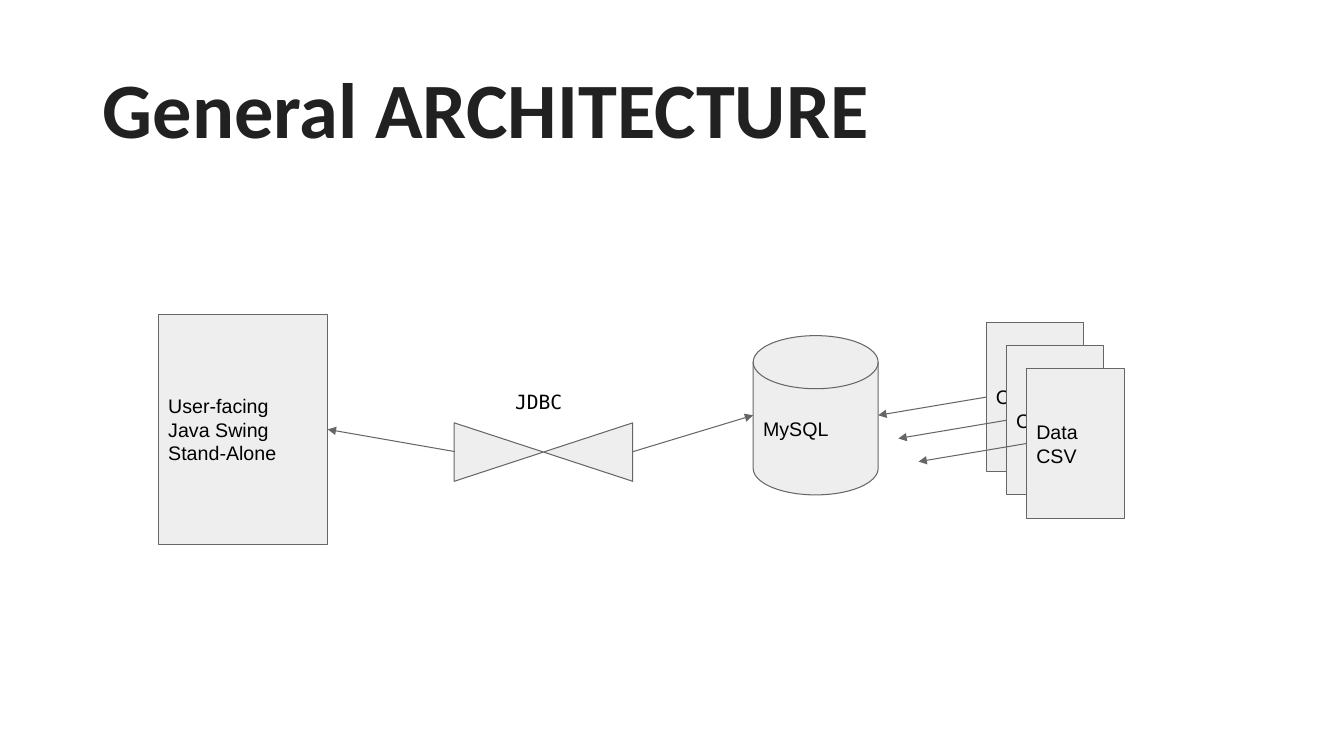
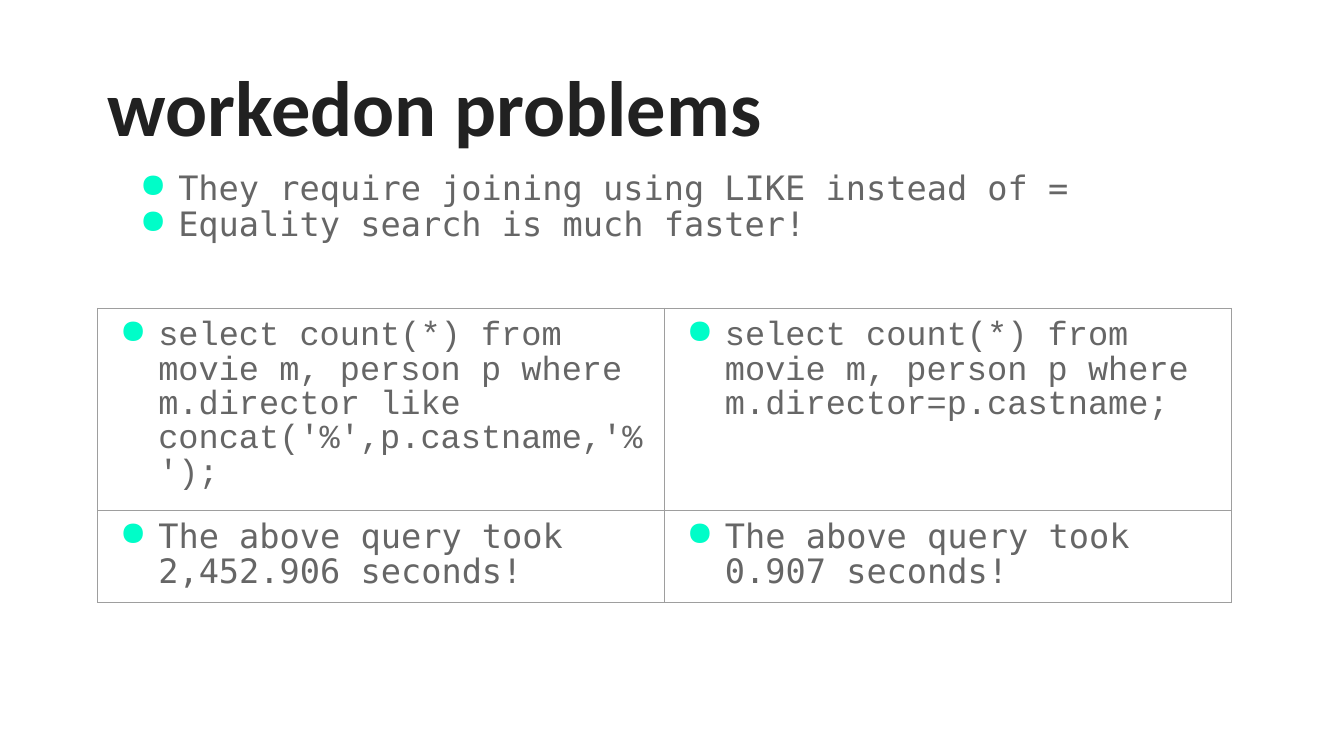
from lxml.etree import SubElement
from pptx import Presentation
from pptx.dml.color import RGBColor
from pptx.enum.shapes import MSO_CONNECTOR, MSO_SHAPE as Preset
from pptx.enum.text import MSO_ANCHOR as Anchor, PP_ALIGN as Align
from pptx.oxml.ns import qn
from pptx.util import Pt

PX = 9144  # EMU per px, 100 px to the inch
COLORS = {"background": "FFFFFF", "title": "212121", "body": "666666",
          "label": "000000", "fill": "EEEEEE", "line": "666666",
          "bullet": "00FDC8", "border": "9E9E9E"}
SANS, MONO, CODE = "Arial", "DejaVu Sans Mono", "Courier New"
LINE_WIDTH = Pt(0.75)

# Boxes are left, top, width, height in px
BLOCKS = [
    (Preset.RECTANGLE, (157, 312, 168, 228), ["User-facing", "Java Swing Stand-Alone"]),
    (Preset.FLOWCHART_MAGNETIC_DISK, (747, 333, 124, 158), ["MySQL"]),
]
BRIDGE_BOX = (510, 360, 58, 177)
BRIDGE_LABEL = ("JDBC", (501, 377, 101, 35))
BRIDGE_ARROWS = [((451, 448), (325, 426)), ((628, 448), (747, 412))]

FILES = [["CSV"], ["CSV"], ["Data", "CSV"]]
FILE_BOX = (978, 320, 97, 148)
FILE_STEP = (20, 23)
FILE_ARROW = (-107, 18)

PROBLEMS = ["They require joining using LIKE instead of =",
            "Equality search is much faster!"]
QUERY_BOX = (97, 306, 1124, 279)
QUERY_ROWS = [
    (190, CODE, ["select count(*) from movie m, person p where m.director like "
                 "concat('%',p.castname,'%');",
                 "select count(*) from movie m, person p where m.director=p.castname;"]),
    (89, MONO, ["The above query took 2,452.906 seconds!",
                "The above query took 0.907 seconds!"]),
]


def color(name):
    return RGBColor.from_string(COLORS[name])


def emu(lengths):
    return [length * PX for length in lengths]


def add_bullet(paragraph):
    properties = paragraph._p.get_or_add_pPr()
    properties.set("marL", str(50 * PX))
    properties.set("indent", str(-38 * PX))
    bullet_color = SubElement(properties, qn("a:buClr"))
    SubElement(bullet_color, qn("a:srgbClr")).set("val", COLORS["bullet"])
    SubElement(properties, qn("a:buChar")).set("char", "●")


def write(frame, lines, size, font, ink, bold=False, bullets=False, spacing=None):
    frame.text = "\n".join(lines)
    frame.word_wrap = True
    for paragraph in frame.paragraphs:
        if bullets:
            add_bullet(paragraph)
        paragraph.alignment = Align.LEFT
        paragraph.line_spacing = spacing
        for run in paragraph.runs:
            run.font.size = Pt(size)
            run.font.name = font
            run.font.bold = bold
            run.font.color.rgb = color(ink)


def set_margins(target, side, end):
    target.margin_left = target.margin_right = side * PX
    target.margin_top = target.margin_bottom = end * PX


def add_text(slide, box, lines, size, font, ink, end_margin=5,
             anchor=Anchor.TOP, **style):
    frame = slide.shapes.add_textbox(*emu(box)).text_frame
    set_margins(frame, 10, end_margin)
    frame.vertical_anchor = anchor
    write(frame, lines, size, font, ink, **style)


def add_slide(presentation, title, left, top):
    slide = presentation.slides.add_slide(presentation.slide_layouts[6])
    slide.background.fill.solid()
    slide.background.fill.fore_color.rgb = color("background")
    add_text(slide, (left, top, 1150, 145), [title], 56, "Calibri", "title",
             anchor=Anchor.MIDDLE, bold=True, spacing=0.9)
    return slide


def add_block(slide, preset, box, lines=()):
    shape = slide.shapes.add_shape(preset, *emu(box))
    shape.shadow.inherit = False
    shape.fill.solid()
    shape.fill.fore_color.rgb = color("fill")
    shape.line.color.rgb = color("line")
    shape.line.width = LINE_WIDTH
    if lines:
        set_margins(shape.text_frame, 10, 10)
        shape.text_frame.vertical_anchor = Anchor.MIDDLE
        write(shape.text_frame, lines, 14, SANS, "label")
    return shape


def add_arrow(slide, start, end):
    arrow = slide.shapes.add_connector(MSO_CONNECTOR.STRAIGHT, *emu(start + end))
    arrow.line.color.rgb = color("line")
    arrow.line.width = LINE_WIDTH
    SubElement(arrow.line._get_or_add_ln(), qn("a:tailEnd")).set("type", "triangle")
    SubElement(arrow._element.spPr, qn("a:effectLst"))


def add_borders(cell):
    properties = cell._tc.get_or_add_tcPr()
    for side in ("lnL", "lnR", "lnT", "lnB"):
        border = SubElement(properties, qn(f"a:{side}"))
        border.set("w", str(LINE_WIDTH))
        fill = SubElement(border, qn("a:solidFill"))
        SubElement(fill, qn("a:srgbClr")).set("val", COLORS["border"])


def add_query_table(slide):
    columns = len(QUERY_ROWS[0][2])
    table = slide.shapes.add_table(len(QUERY_ROWS), columns, *emu(QUERY_BOX)).table
    table.first_row = table.horz_banding = False
    for row, (height, font, texts) in enumerate(QUERY_ROWS):
        table.rows[row].height = height * PX
        for column, text in enumerate(texts):
            cell = table.cell(row, column)
            add_borders(cell)
            cell.fill.background()
            set_margins(cell, 10, 10)
            write(cell.text_frame, [text], 24, font, "body", bullets=True, spacing=0.9)


def build_architecture(presentation):
    slide = add_slide(presentation, "General ARCHITECTURE", 92, 40)
    for preset, box, lines in BLOCKS:
        add_block(slide, preset, box, lines)

    left, top, width, height = FILE_BOX
    corners = [(left + i * FILE_STEP[0], top + i * FILE_STEP[1])
               for i in range(len(FILES))]
    for corner, lines in zip(corners, FILES):
        add_block(slide, Preset.RECTANGLE, corner + (width, height), lines)
    for x, y in corners:
        middle = y + height // 2
        add_arrow(slide, (x, middle), (x + FILE_ARROW[0], middle + FILE_ARROW[1]))

    add_block(slide, Preset.FLOWCHART_COLLATE, BRIDGE_BOX).rotation = 90
    label, box = BRIDGE_LABEL
    add_text(slide, box, [label], 14, MONO, "label", end_margin=10)
    for start, end in BRIDGE_ARROWS:
        add_arrow(slide, start, end)


def build_problems(presentation):
    slide = add_slide(presentation, "workedon problems", 97, 38)
    add_text(slide, (117, 165, 1150, 90), PROBLEMS, 24, MONO, "body",
             bullets=True, spacing=0.9)
    add_query_table(slide)


def main():
    presentation = Presentation()
    presentation.slide_width, presentation.slide_height = emu((1333, 750))
    build_architecture(presentation)
    build_problems(presentation)
    presentation.save("out.pptx")


if __name__ == "__main__":
    main()
